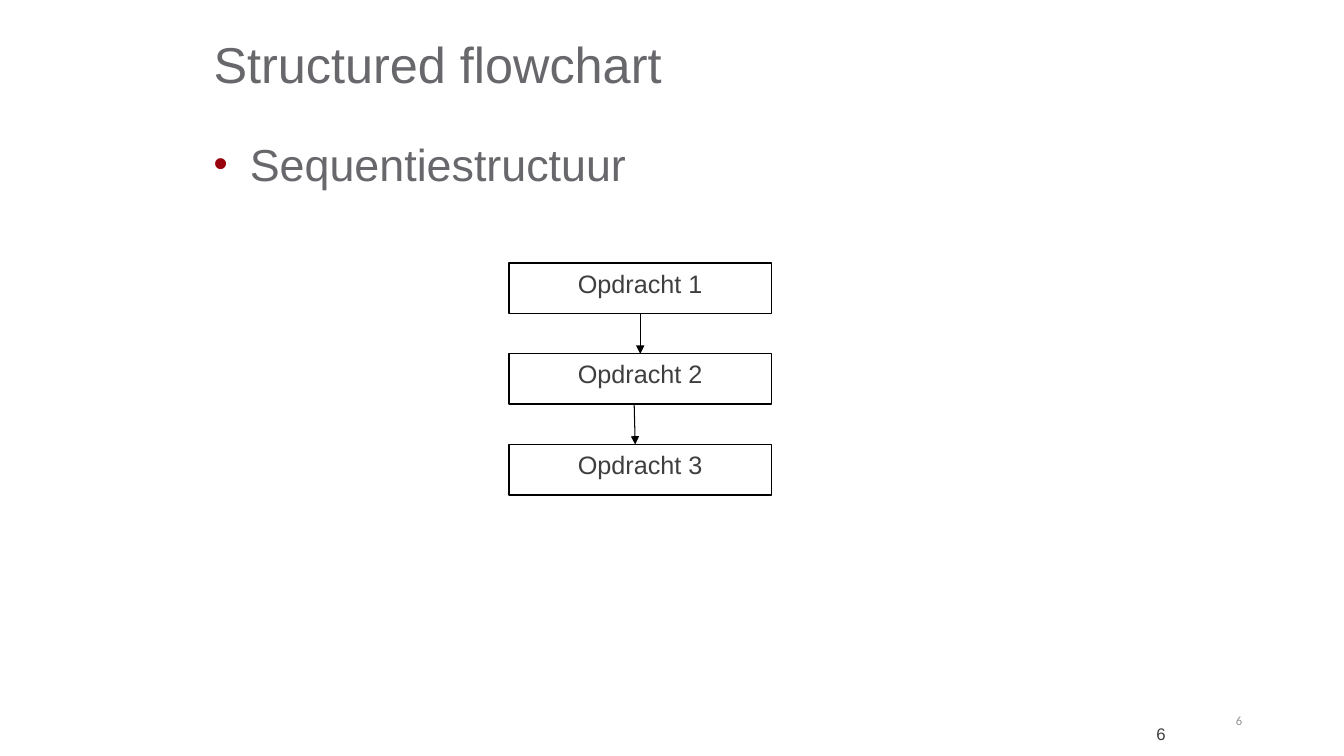
from lxml import etree
from pptx import Presentation
from pptx import util as u
from pptx.dml.color import RGBColor
from pptx.enum import shapes, text
from pptx.oxml import ns

PX = 9144


def px(length):
    return u.Emu(length * PX)


def colour(value):
    return RGBColor.from_string(value)


class FlowchartPage:
    font = "Arial"
    grey = "68676C"
    dark = "3F3F3F"
    pale = "939393"
    red = "97000C"
    black = "000000"
    white = "FFFFFF"

    def __init__(self, deck):
        self.page = deck.slides.add_slide(deck.slide_layouts[6])

    def set_words(self, shape, words, size, tint, align, anchor, font=None):
        frame = shape.text_frame
        frame.word_wrap = True
        frame.vertical_anchor = anchor
        frame.text = words
        para = frame.paragraphs[0]
        para.alignment = align
        for span in para.runs:
            span.font.name = font or self.font
            span.font.size = u.Pt(size)
            span.font.color.rgb = colour(tint)
        return para

    def label(self, area, words, size, tint, align=text.PP_ALIGN.LEFT,
              anchor=text.MSO_ANCHOR.MIDDLE, font=None):
        box = self.page.shapes.add_textbox(*map(px, area))
        return self.set_words(box, words, size, tint, align, anchor, font)

    def bullet(self, area, words, size):
        para = self.label(area, words, size, self.grey, anchor=text.MSO_ANCHOR.TOP)
        properties = para._p.get_or_add_pPr()
        properties.set("marL", str(px(36)))
        properties.set("indent", str(px(-36)))
        tint = etree.SubElement(properties, ns.qn("a:buClr"))
        etree.SubElement(tint, ns.qn("a:srgbClr"), val=self.red)
        etree.SubElement(properties, ns.qn("a:buSzPct"), val="90000")
        etree.SubElement(properties, ns.qn("a:buFont"), typeface=self.font)
        etree.SubElement(properties, ns.qn("a:buChar"), char="•")

    def step(self, area, words):
        box = self.page.shapes.add_shape(shapes.MSO_SHAPE.RECTANGLE, *map(px, area))
        box.shadow.inherit = False
        box.fill.solid()
        box.fill.fore_color.rgb = colour(self.white)
        box.line.color.rgb = colour(self.black)
        box.line.width = u.Pt(1)
        self.set_words(box, words, 18, self.dark, text.PP_ALIGN.CENTER, text.MSO_ANCHOR.TOP)

    def arrow(self, start, end):
        line = self.page.shapes.add_connector(
            shapes.MSO_CONNECTOR.STRAIGHT, *map(px, start + end))
        line.line.color.rgb = colour(self.black)
        line.line.width = u.Pt(0.75)
        properties = line._element.spPr
        etree.SubElement(properties.find(ns.qn("a:ln")), ns.qn("a:tailEnd"), type="triangle")
        etree.SubElement(properties, ns.qn("a:effectLst"))


def main():
    deck = Presentation()
    deck.slide_width, deck.slide_height = px(1333), px(750)
    page = FlowchartPage(deck)
    right = text.PP_ALIGN.RIGHT

    page.label((202, 0, 953, 125), "Structured flowchart", 36, page.grey)
    page.bullet((202, 131, 929, 520), "Sequentiestructuur", 32)
    page.label((933, 708, 233, 40), "6", 12, page.dark, right)

    top, height, pitch = 261, 50, 90
    for index in range(3):
        page.step((505, top + index * pitch, 260, height), f"Opdracht {index + 1}")
    for index, (start, end) in enumerate([(635, 635), (629, 630)]):
        upper = top + index * pitch
        page.arrow((start, upper + height), (end, upper + pitch))

    page.label((1123, 695, 119, 40), "6", 9, page.pale, right, font="Calibri")
    deck.save("out.pptx")


if __name__ == "__main__":
    main()
